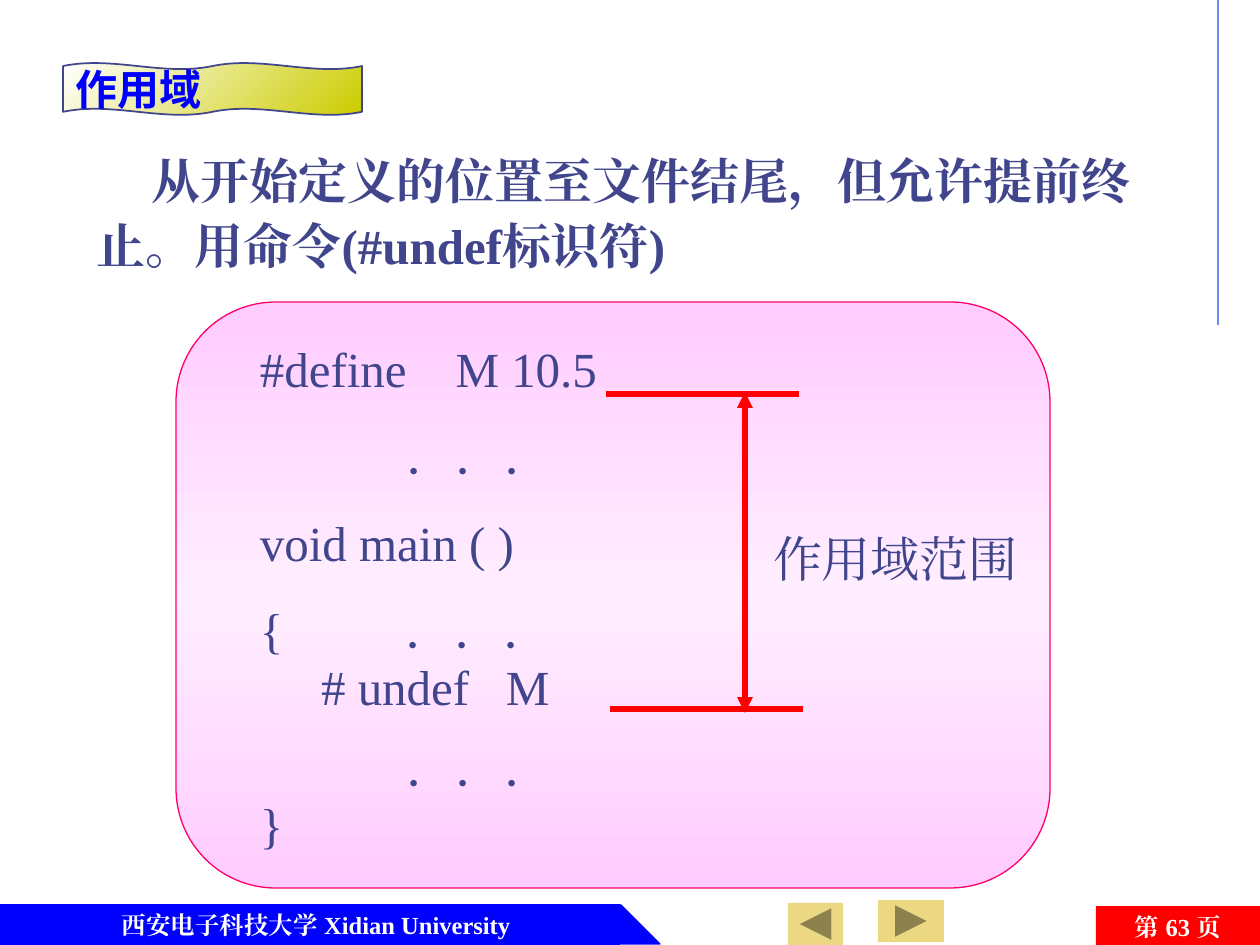
import pptx
import pptx.util
import pptx.dml.color
import pptx.enum.shapes
import pptx.enum.text
import pptx.oxml.ns
import lxml.etree

SHAPE = pptx.enum.shapes.MSO_SHAPE
ALIGN = pptx.enum.text.PP_ALIGN
ANCHOR = pptx.enum.text.MSO_ANCHOR
qn = pptx.oxml.ns.qn


class Theme:
    ink, blue, red, white = "40458C", "0000FF", "FF0000", "FFFFFF"
    rule, sand, pink = "6F89F7", "ECD882", "FF0066"
    panel = [(0, "FFCCFF"), (50, "FFEEFF"), (100, "FFCCFF")]
    banner = [(0, "FFFFFF"), (100, "CCCC00")]
    serif, sans = "Times New Roman", "Noto Sans CJK SC"
    body, title, foot = 28, 24, 14
    gap = 16


def px(n):
    return round(n * 914400 / 126)


def rgb(code):
    return pptx.dml.color.RGBColor.from_string(code)


class Page:
    def __init__(self, slide, theme):
        self.slide, self.theme = slide, theme

    def shape(self, kind, box, fill, line=None, width=0.75, angle=0):
        item = self.slide.shapes.add_shape(kind, *map(px, box))
        item.shadow.inherit = False
        if isinstance(fill, list):
            self.blend(item, fill, angle)
        else:
            item.fill.solid()
            item.fill.fore_color.rgb = rgb(fill)
        if line:
            item.line.color.rgb = rgb(line)
            item.line.width = pptx.util.Pt(width)
        else:
            item.line.fill.background()
        return item

    def blend(self, item, stops, angle):
        item.fill.gradient()
        grad = item._element.spPr.find(qn("a:gradFill"))
        for child in list(grad):
            grad.remove(child)
        group = lxml.etree.SubElement(grad, qn("a:gsLst"))
        for pos, code in stops:
            stop = lxml.etree.SubElement(group, qn("a:gs"), pos=str(pos * 1000))
            lxml.etree.SubElement(stop, qn("a:srgbClr"), val=code)
        lxml.etree.SubElement(grad, qn("a:lin"), ang=str(angle * 60000), scaled="0")

    def line(self, start, end, color, width, heads=False):
        item = self.slide.shapes.add_connector(
            pptx.enum.shapes.MSO_CONNECTOR.STRAIGHT, *map(px, start + end))
        item.line.color.rgb = rgb(color)
        item.line.width = pptx.util.Pt(width)
        if heads:
            for tag in ("a:headEnd", "a:tailEnd"):
                lxml.etree.SubElement(item.line._ln, qn(tag), type="triangle")
        lxml.etree.SubElement(item._element.spPr, qn("a:effectLst"))

    def box(self, place, lines, **look):
        item = self.slide.shapes.add_textbox(*map(px, place))
        self.label(item, lines, **look)
        return item

    def label(self, item, lines, size, color, font=Theme.serif, bold=False,
              align=ALIGN.LEFT, anchor=ANCHOR.TOP, inset=(13, 6)):
        frame = item.text_frame
        frame.text = "\n".join(lines)
        frame.word_wrap = True
        frame.vertical_anchor = anchor
        frame.margin_left = frame.margin_right = px(inset[0])
        frame.margin_top = frame.margin_bottom = px(inset[1])
        for i, para in enumerate(frame.paragraphs):
            para.alignment = align
            if i:
                para.space_before = pptx.util.Pt(self.theme.gap)
            for run in para.runs:
                run.font.size = pptx.util.Pt(size)
                run.font.bold = bold
                run.font.color.rgb = rgb(color)
                self.face(run, font)

    def face(self, run, name):
        run.font.name = name
        props = run._r.get_or_add_rPr()
        east = lxml.etree.Element(qn("a:ea"), typeface=name)
        props.find(qn("a:latin")).addnext(east)


def main():
    deck = pptx.Presentation()
    deck.slide_width, deck.slide_height = px(1260), px(945)
    t = Theme()
    page = Page(deck.slides.add_slide(deck.slide_layouts[6]), t)
    foot = dict(size=t.foot, color=t.white, bold=True, align=ALIGN.CENTER,
                anchor=ANCHOR.MIDDLE, inset=(0, 0))

    # Side rule
    page.line((1218, 0), (1218, 325), t.rule, 0.75)

    # Footer with school name and page number
    page.shape(SHAPE.RECTANGLE, (0, 905, 620, 39), t.blue, t.blue)
    page.shape(SHAPE.RIGHT_TRIANGLE, (621, 905, 39, 39), t.blue, t.blue)
    page.box((37, 905, 558, 39), ["西安电子科技大学 Xidian University"], **foot)
    tag = page.shape(SHAPE.RECTANGLE, (1096, 906, 164, 42), t.red)
    page.label(tag, ["第 63 页"], **foot)

    # Paging buttons
    page.shape(SHAPE.ACTION_BUTTON_FORWARD_OR_NEXT, (878, 900, 66, 42), t.sand)
    back = page.shape(SHAPE.ACTION_BUTTON_FORWARD_OR_NEXT, (788, 903, 55, 42), t.sand)
    back.rotation = 180

    # Panel behind the code
    panel = page.shape(SHAPE.ROUNDED_RECTANGLE, (176, 302, 874, 586),
                       t.panel, t.pink, angle=90)
    panel.adjustments[0] = 0.17

    # Lead sentence
    body = dict(size=t.body, color=t.ink)
    lead = page.box((84, 139, 1105, 142),
                    ["从开始定义的位置至文件结尾，但允许提前终止。用命令(#undef标识符)"],
                    bold=True, **body)
    para = lead.text_frame.paragraphs[0]
    para.line_spacing = 1.1
    para._p.get_or_add_pPr().set("indent", str(px(55)))

    # Code sample
    code = page.box((247, 333, 363, 542), [
        "#define    M 10.5",
        "            ．．．",
        "void main ( )",
        "{          ．．．",
        "     # undef   M",
        "            ．．．",
        "}",
    ], **body)
    for row in (4, 6):
        code.text_frame.paragraphs[row].line_spacing = 0.4

    # Scope marker
    page.line((745, 392), (745, 713), t.red, 3, heads=True)
    page.box((760, 522, 319, 72), ["作用域范围"], **body)
    for left, top in ((606, 394), (610, 709)):
        page.line((left, top), (left + 193, top), t.red, 3)

    # Title banner
    wave = page.shape(SHAPE.DOUBLE_WAVE, (63, 63, 299, 52), t.banner, t.ink, 1, 45)
    wave.adjustments[0], wave.adjustments[1] = 0.06, 0
    page.label(wave, ["作用域"], t.title, t.blue, t.sans, True,
               anchor=ANCHOR.MIDDLE, inset=(13, 0))

    deck.save("out.pptx")


if __name__ == "__main__":
    main()
